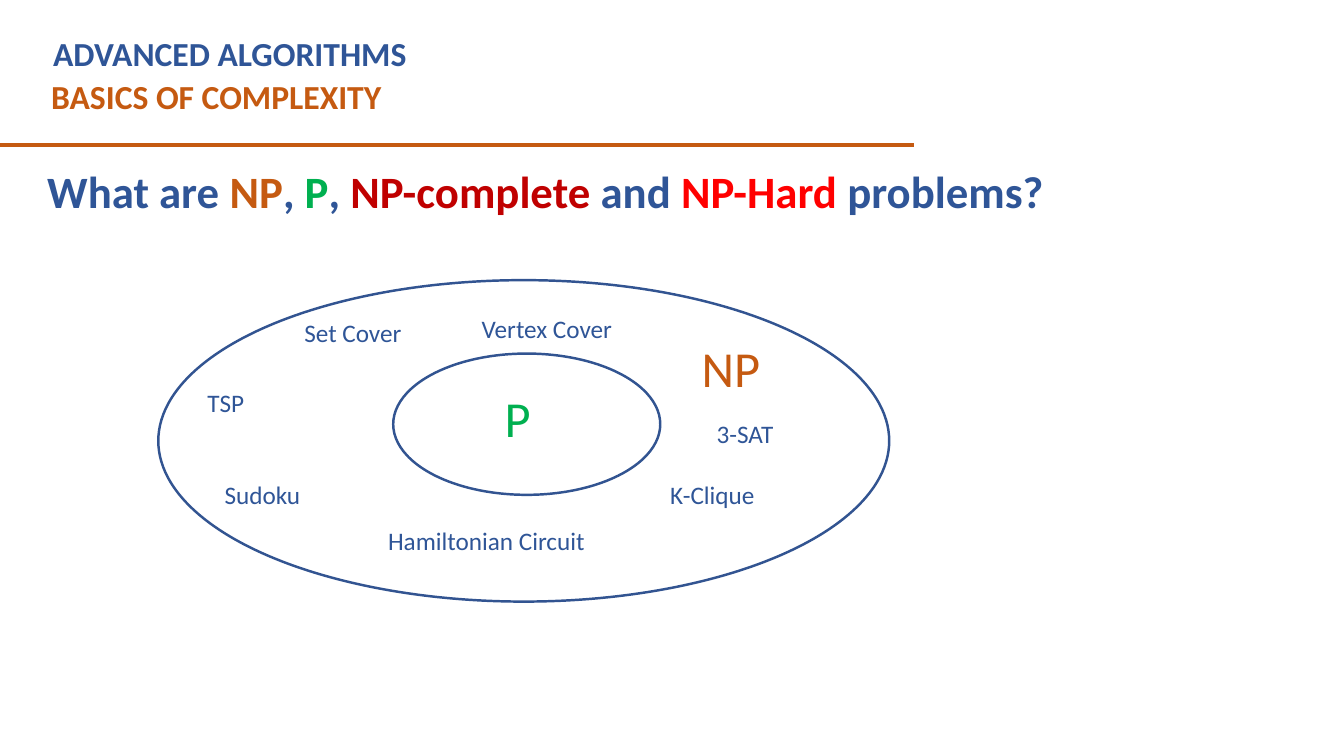
from pptx import Presentation
from pptx.dml.color import RGBColor
from pptx.enum.shapes import MSO_CONNECTOR, MSO_SHAPE
from pptx.oxml.ns import qn
from pptx.util import Cm, Pt
from lxml import etree

STRAIGHT = MSO_CONNECTOR.STRAIGHT
OVAL = MSO_SHAPE.OVAL

BLUE, ORANGE, GREEN = "2F5597", "C55A11", "00B050"
DARK_RED, RED, OUTLINE = "C00000", "FF0000", "325491"


def color(hex_string):
    return RGBColor.from_string(hex_string)


def add_text(shapes, box, runs, size, bold=False):
    """Add one line of (text, color) runs in a box given in centimetres."""
    shape = shapes.add_textbox(*map(Cm, box))
    shape.text_frame.word_wrap = True
    paragraph = shape.text_frame.paragraphs[0]
    font_format = {"name": "Calibri", "size": Pt(size), "bold": bold}
    for text, hex_string in runs:
        run = paragraph.add_run()
        run.text = text
        for attribute, value in font_format.items():
            setattr(run.font, attribute, value)
        run.font.color.rgb = color(hex_string)


def add_ellipse(shapes, box):
    shape = shapes.add_shape(OVAL, *map(Cm, box))
    shape.shadow.inherit = False
    shape.fill.background()
    shape.line.color.rgb = color(OUTLINE)
    shape.line.width = Pt(1.75)


def add_header(slide, left, top, width, height):
    # Course and topic
    add_text(slide.shapes, (left + 1.04, top + 1.8, 22.23, 1.27),
             [("BASICS OF COMPLEXITY", ORANGE)], 24, True)
    add_text(slide.shapes, (left + 1.09, top + 0.71, 20.83, 1.27),
             [("ADVANCED ALGORITHMS", BLUE)], 24, True)
    # Rule along the bottom
    bottom = Cm(top + height)
    rule = slide.shapes.add_connector(STRAIGHT, Cm(left), bottom, Cm(left + width), bottom)
    rule.line.color.rgb = color(ORANGE)
    rule.line.width = Pt(3)
    etree.SubElement(rule._element.spPr, qn("a:effectLst"))


def add_question(slide, left, top, width, height):
    runs = [("What are ", BLUE), ("NP", ORANGE), (", ", BLUE), ("P", GREEN),
            (", ", BLUE), ("NP-complete", DARK_RED), (" and ", BLUE),
            ("NP-Hard", RED), (" problems?", BLUE)]
    add_text(slide.shapes, (left, top, width, height), runs, 32, True)


def add_complexity_diagram(slide, left, top, width, height):
    shapes = slide.shapes.add_group_shape().shapes
    # NP set around the P set
    add_ellipse(shapes, (left, top, width, height))
    add_ellipse(shapes, (left + 5.92, top + 1.85, 6.73, 3.56))

    # Class names: text, color, offset from the box, width
    for text, hex_string, x, y, label_width in [
        ("P", GREEN, 8.48, 2.57, 1.88),
        ("NP", ORANGE, 13.44, 1.32, 3.86),
    ]:
        add_text(shapes, (left + x, top + y, label_width, 1.78), [(text, hex_string)], 36)

    # Example problems: text, offset from the box, width
    for text, x, y, label_width in [
        ("TSP", 0.99, 2.57, 4.01),
        ("Sudoku", 1.42, 4.9, 4.01),
        ("Hamiltonian Circuit", 5.54, 6.05, 6.45),
        ("K-Clique", 12.65, 4.9, 4.39),
        ("3-SAT", 13.82, 3.35, 4.6),
        ("Set Cover", 3.43, 0.81, 6.45),
        ("Vertex Cover", 7.9, 0.71, 6.45),
    ]:
        add_text(shapes, (left + x, top + y, label_width, 1.02), [(text, BLUE)], 18)


def main():
    presentation = Presentation()
    presentation.slide_width, presentation.slide_height = Cm(33.87), Cm(19.05)
    slide = presentation.slides.add_slide(presentation.slide_layouts[6])
    add_header(slide, 0, 0, 23.04, 3.66)
    add_question(slide, 0.94, 3.99, 25.91, 2.95)
    add_complexity_diagram(slide, 3.99, 7.06, 18.42, 8.1)
    presentation.save("out.pptx")


if __name__ == "__main__":
    main()
